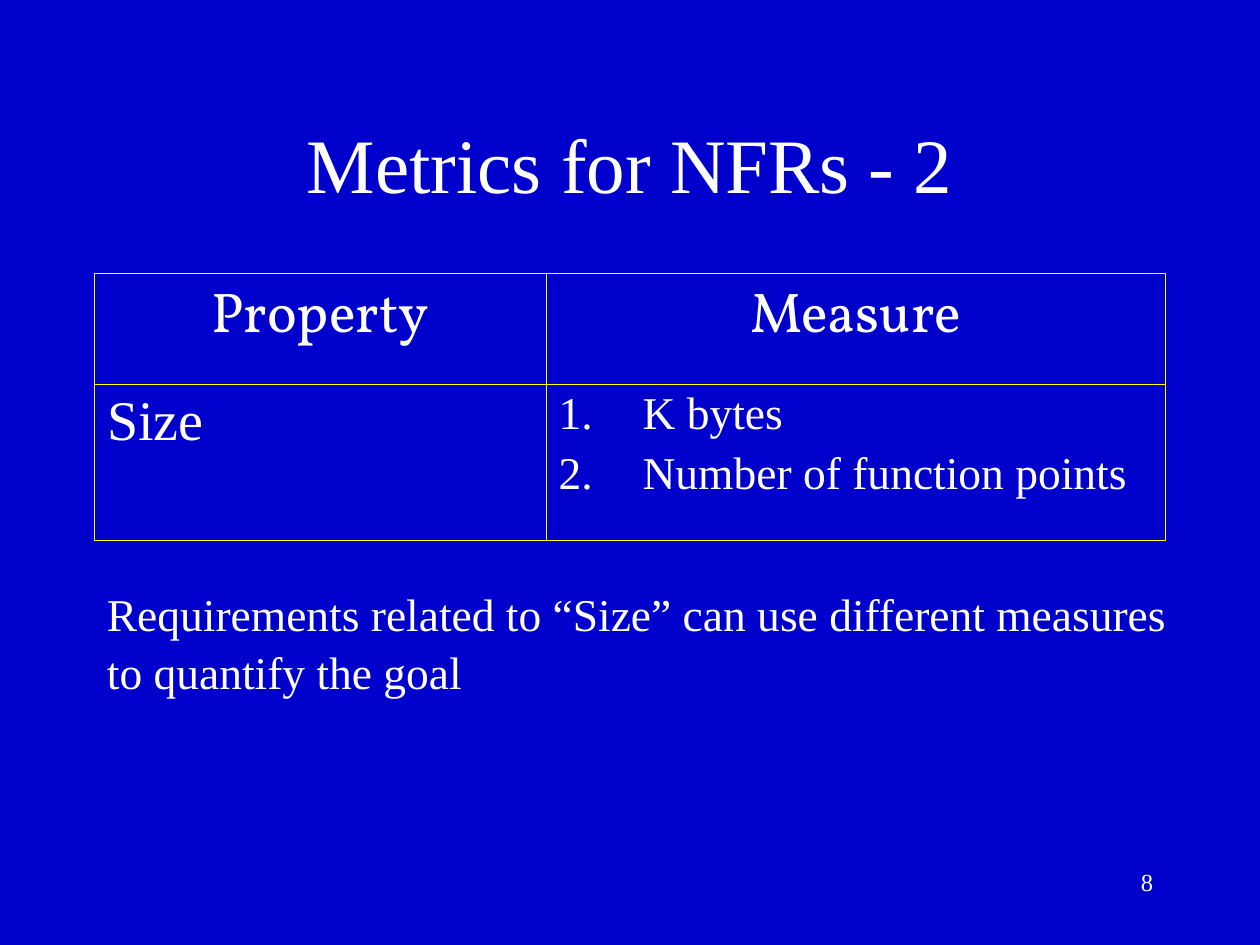
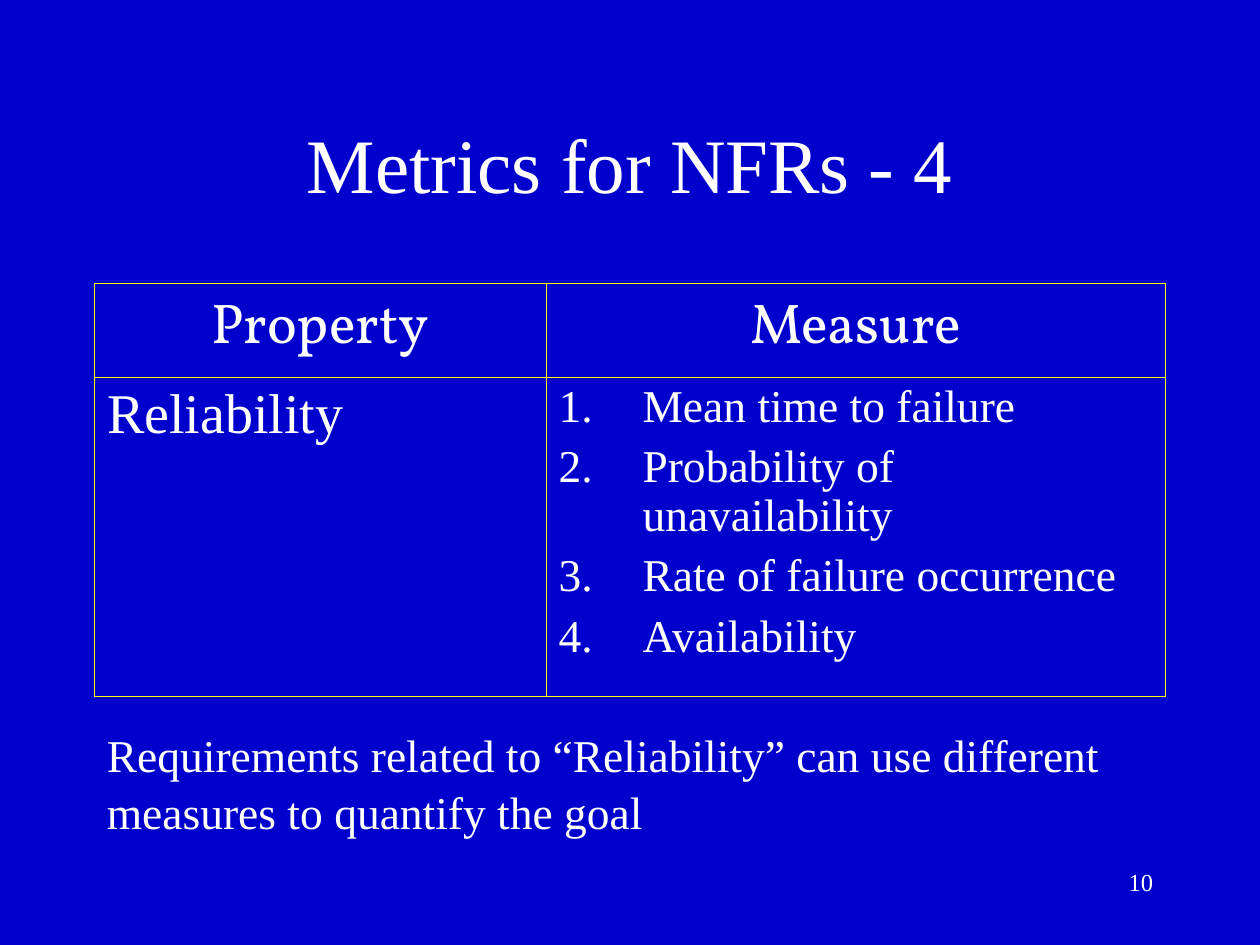
"""Build two slides on metrics for non-functional requirements."""
import dataclasses

import lxml.etree
import pptx
import pptx.dml.color
import pptx.enum.text
import pptx.oxml.ns
import pptx.util

Pt = pptx.util.Pt
qn = pptx.oxml.ns.qn
ALIGN = pptx.enum.text.PP_ALIGN
ANCHOR = pptx.enum.text.MSO_ANCHOR


@dataclasses.dataclass(frozen=True)
class Theme:
    background: str = "0000CC"
    text: str = "FFFFFF"
    border: str = "FFFF00"
    border_width: float = 0.45
    body_font: str = "Times New Roman"
    header_font: str = "Vollkorn"
    title_size: int = 44
    cell_size: int = 32
    body_size: int = 26
    number_size: int = 14


THEME = Theme()
LEFT = 54
LIST_INDENT = 48
COLUMN_WIDTHS = (258, 354)
SLIDES = [
    {
        "title": "Metrics for NFRs - 2", "number": "8", "property": "Size",
        "measures": ["K bytes", "Number of function points"],
        "table_top": 156, "row_heights": (63.5, 89.5), "note_top": 330,
    },
    {
        "title": "Metrics for NFRs - 4", "number": "10", "property": "Reliability",
        "measures": ["Mean time to failure", "Probability of unavailability",
                     "Rate of failure occurrence", "Availability"],
        "table_top": 162, "row_heights": (53.5, 182.5), "note_top": 410.4,
    },
]


def write(paragraph, text, size, font=THEME.body_font, align=ALIGN.LEFT, before=0, spacing=None):
    paragraph.alignment = align
    paragraph.line_spacing = spacing
    paragraph.space_before = Pt(before)
    run = paragraph.add_run()
    run.text = text
    run.font.size = Pt(size)
    run.font.name = font
    run.font.color.rgb = pptx.dml.color.RGBColor.from_string(THEME.text)


def add_text(slide, box, text, size, anchor=ANCHOR.TOP, **style):
    frame = slide.shapes.add_textbox(*map(Pt, box)).text_frame
    frame.word_wrap = True
    frame.vertical_anchor = anchor
    write(frame.paragraphs[0], text, size, **style)


presentation = pptx.Presentation()
presentation.slide_width = Pt(720)
presentation.slide_height = Pt(540)

for content in SLIDES:
    slide = presentation.slides.add_slide(presentation.slide_layouts[6])
    background = slide.background.fill
    background.solid()
    background.fore_color.rgb = pptx.dml.color.RGBColor.from_string(THEME.background)

    add_text(slide, (LEFT, 48, 612, 90), content["title"], THEME.title_size,
             anchor=ANCHOR.MIDDLE, align=ALIGN.CENTER)

    heights = content["row_heights"]
    table = slide.shapes.add_table(
        2, 2, Pt(LEFT), Pt(content["table_top"]),
        Pt(sum(COLUMN_WIDTHS)), Pt(sum(heights))).table
    table.first_row = False
    table.horz_banding = False
    for column, width in zip(table.columns, COLUMN_WIDTHS):
        column.width = Pt(width)
    for row, height in zip(table.rows, heights):
        row.height = Pt(height)

    for cell in table.iter_cells():
        properties = cell._tc.get_or_add_tcPr()
        for side in ("lnL", "lnR", "lnT", "lnB"):
            line = lxml.etree.SubElement(properties, qn(f"a:{side}"),
                                         w=str(Pt(THEME.border_width)))
            fill = lxml.etree.SubElement(line, qn("a:solidFill"))
            lxml.etree.SubElement(fill, qn("a:srgbClr"), val=THEME.border)
        cell.fill.background()
        cell.margin_left = cell.margin_right = Pt(7.2)
        cell.margin_top = cell.margin_bottom = Pt(3.6)

    for index, heading in enumerate(("Property", "Measure")):
        write(table.cell(0, index).text_frame.paragraphs[0], heading, THEME.cell_size,
              font=THEME.header_font, align=ALIGN.CENTER, before=8)
    write(table.cell(1, 0).text_frame.paragraphs[0], content["property"],
          THEME.cell_size, before=8)

    measure_frame = table.cell(1, 1).text_frame
    for index, measure in enumerate(content["measures"]):
        paragraph = measure_frame.add_paragraph() if index else measure_frame.paragraphs[0]
        write(paragraph, measure, THEME.body_size, before=6.5, spacing=0.97)
        properties = paragraph._p.get_or_add_pPr()
        properties.set("marL", str(Pt(LIST_INDENT)))
        properties.set("indent", str(-Pt(LIST_INDENT)))
        lxml.etree.SubElement(properties, qn("a:buFont"), typeface=THEME.body_font)
        lxml.etree.SubElement(properties, qn("a:buAutoNum"), type="arabicPeriod")

    add_text(slide, (LEFT, content["note_top"], 624, 69.8),
             f"Requirements related to “{content['property']}” can use different "
             "measures to quantify the goal",
             THEME.body_size, before=16.2, spacing=1.05)
    add_text(slide, (516, 492, 150, 36), content["number"], THEME.number_size,
             align=ALIGN.RIGHT)

presentation.save("out.pptx")
